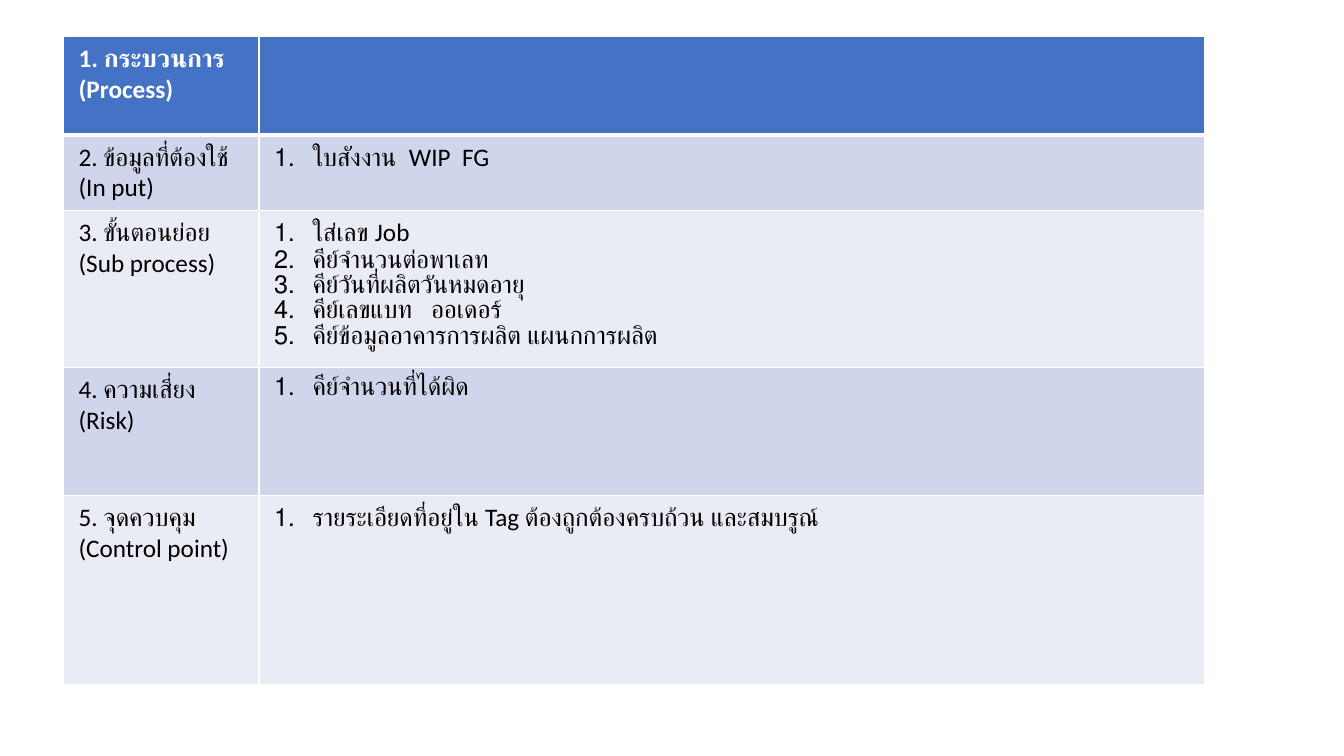
from lxml import etree
from pptx import Presentation
from pptx.dml.color import RGBColor
from pptx.oxml.ns import qn
from pptx.util import Inches, Pt

COLORS = {"header": "4472C4", "odd": "CFD5EA", "even": "E9EBF5",
          "ink": "000000", "white": "FFFFFF"}
COLUMNS = [1.94, 9.38]
ROWS = [
    (0.98, ["1. กระบวนการ (Process)"], []),
    (0.69, ["2. ข้อมูลที่ต้องใช้", "(In put)"], ["ใบสังงาน  WIP  FG"]),
    (1.56, ["3. ขั้นตอนย่อย", "(Sub process)"],
     ["ใส่เลข Job", "คีย์จำนวนต่อพาเลท", "คีย์วันที่ผลิตวันหมดอายุ",
      "คีย์เลขแบท   ออเดอร์", "คีย์ข้อมูลอาคารการผลิต แผนกการผลิต"]),
    (1.27, ["4. ความเสี่ยง", "(Risk)"], ["คีย์จำนวนที่ได้ผิด"]),
    (1.87, ["5. จุดควบคุม", "(Control point)"],
     ["รายระเอียดที่อยู่ใน Tag ต้องถูกต้องครบถ้วน และสมบรูณ์"]),
]


def number_paragraph(paragraph, indent=0.38):
    """Give a paragraph an automatic number with a hanging indent."""
    properties = paragraph._p.get_or_add_pPr()
    properties.set("marL", str(Inches(indent)))
    properties.set("indent", str(-Inches(indent)))
    etree.SubElement(properties, qn("a:buFont"), typeface="Arial")
    etree.SubElement(properties, qn("a:buAutoNum"), type="arabicPeriod")


def write(frame, lines, color="ink", bold=False, numbered=False, size=18):
    """Write one paragraph per line in the given format."""
    for index, line in enumerate(lines):
        paragraph = frame.add_paragraph() if index else frame.paragraphs[0]
        if numbered:
            number_paragraph(paragraph)
        run = paragraph.add_run()
        run.text = line
        run.font.name = "Calibri"
        run.font.size = Pt(size)
        run.font.bold = bold
        run.font.color.rgb = RGBColor.from_string(COLORS[color])


def style_cell(cell, fill, widths):
    """Set the margins, white borders and fill of a cell."""
    cell.margin_left = cell.margin_right = Inches(0.15)
    cell.margin_top = cell.margin_bottom = Inches(0.07)
    properties = cell._tc.get_or_add_tcPr()
    for side, width in widths.items():
        border = etree.SubElement(properties, qn(f"a:ln{side}"), w=str(Pt(width)))
        paint = etree.SubElement(border, qn("a:solidFill"))
        etree.SubElement(paint, qn("a:srgbClr"), val=COLORS["white"])
    cell.fill.solid()
    cell.fill.fore_color.rgb = RGBColor.from_string(COLORS[fill])


def add_process_table(slide, left, top, width, height):
    """Place the process table in the given box, in inches."""
    table = slide.shapes.add_table(
        len(ROWS), len(COLUMNS), *map(Inches, (left, top, width, height))).table
    for column, share in zip(table.columns, COLUMNS):
        column.width = Inches(width * share / sum(COLUMNS))
    total = sum(row[0] for row in ROWS)
    for index, (share, heading, steps) in enumerate(ROWS):
        table.rows[index].height = Inches(height * share / total)
        is_header = index == 0
        fill = "header" if is_header else "odd" if index % 2 else "even"
        widths = {"L": 1, "R": 1, "T": 3 if index == 1 else 1,
                  "B": 3 if is_header else 1}
        for cell in table.rows[index].cells:
            style_cell(cell, fill, widths)
        write(table.cell(index, 0).text_frame, heading,
              color="white" if is_header else "ink", bold=is_header)
        write(table.cell(index, 1).text_frame, steps, numbered=True)


def main():
    """Build and save the slide."""
    deck = Presentation()
    deck.slide_width, deck.slide_height = Inches(13.33), Inches(7.5)
    slide = deck.slides.add_slide(deck.slide_layouts[6])
    add_process_table(slide, 0.63, 0.36, sum(COLUMNS), sum(row[0] for row in ROWS))
    deck.save("out.pptx")


if __name__ == "__main__":
    main()
